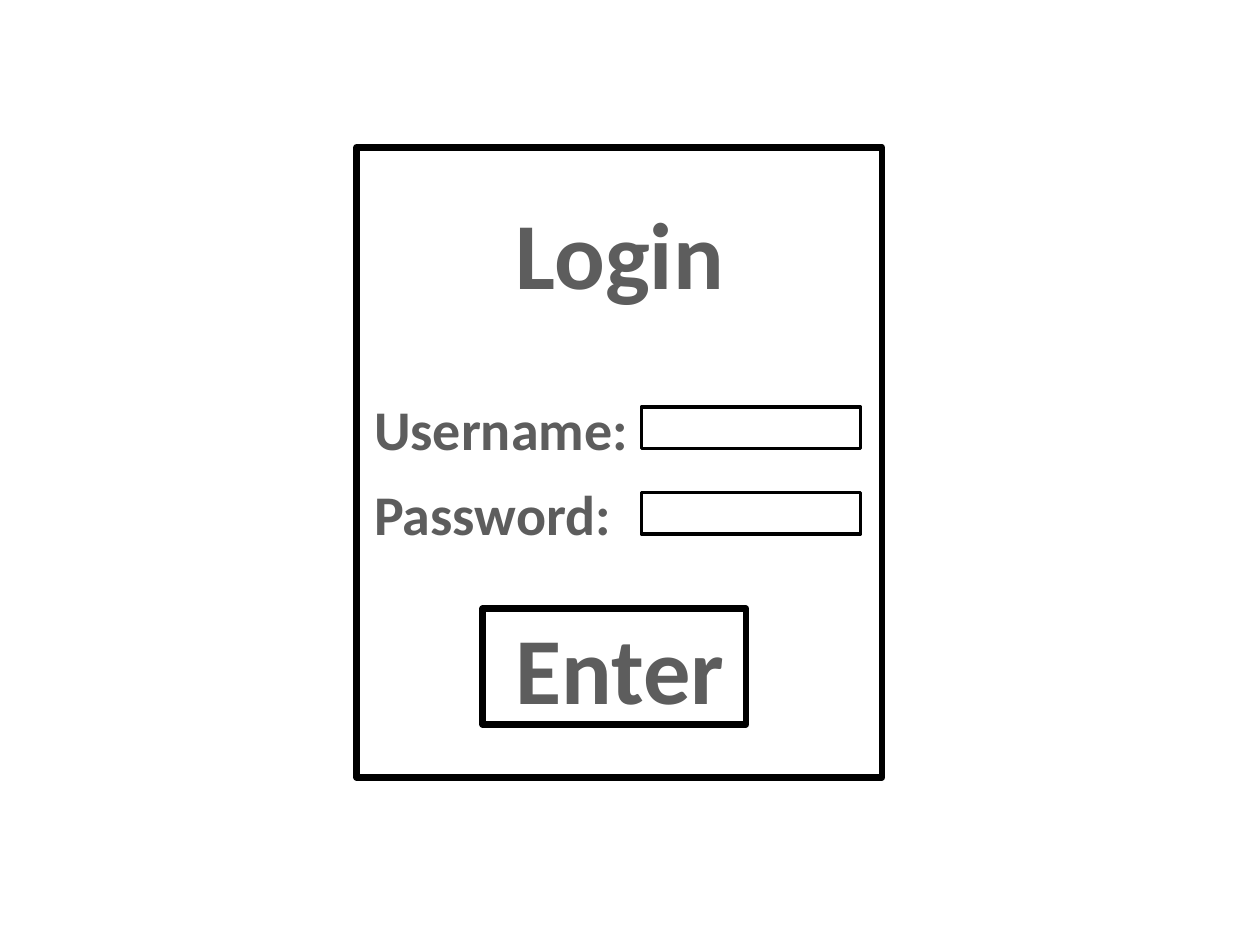
from dataclasses import dataclass

from pptx import Presentation
from pptx.dml.color import RGBColor
from pptx.enum.shapes import MSO_SHAPE
from pptx.enum.text import MSO_ANCHOR, MSO_AUTO_SIZE, PP_ALIGN
from pptx.shapes.autoshape import Shape
from pptx.slide import Slide
from pptx.util import Inches, Pt

RECTANGLE = MSO_SHAPE.RECTANGLE
TOP = MSO_ANCHOR.TOP
NO_AUTOFIT = MSO_AUTO_SIZE.NONE
LEFT, CENTER = PP_ALIGN.LEFT, PP_ALIGN.CENTER
TITLE_ONLY_LAYOUT = 5


@dataclass(frozen=True)
class Theme:
    font: str = "Calibri"
    text: RGBColor = RGBColor(0x5D, 0x5D, 0x5D)
    fill: RGBColor = RGBColor(0xFF, 0xFF, 0xFF)
    line: RGBColor = RGBColor(0, 0, 0)
    heading_size: float = 54
    label_size: float = 32
    heavy_line: float = 3.75
    field_line: float = 2


@dataclass(frozen=True)
class Area:
    left: float
    top: float
    width: float
    height: float

    def lengths(self) -> tuple[int, int, int, int]:
        return (Inches(self.left), Inches(self.top),
                Inches(self.width), Inches(self.height))


@dataclass(frozen=True)
class Field:
    label: str
    label_area: Area
    input_area: Area


THEME = Theme()
PANEL = Area(2.83, 1.17, 4.17, 5)
HEADING = Area(3.98, 1.5, 1.88, 1.01)
BUTTON = Area(3.83, 4.83, 2.09, 0.92)
BUTTON_TEXT = Area(3.98, 4.79, 1.88, 1.01)
FIELD_PITCH = 0.68
FIELDS = [
    Field(label,
          Area(2.87, 3.08 + row * FIELD_PITCH, 2.22, 0.64),
          Area(5.09, 3.23 + row * FIELD_PITCH, 1.74, 0.33))
    for row, label in enumerate(("Username:", "Password:"))
]


def add_box(slide: Slide, area: Area, line_width: float) -> None:
    shape = slide.shapes.add_shape(RECTANGLE, *area.lengths())
    shape.shadow.inherit = False
    shape.fill.solid()
    shape.fill.fore_color.rgb = THEME.fill
    shape.line.color.rgb = THEME.line
    shape.line.width = Pt(line_width)


def write_text(shape: Shape, text: str, size: float, alignment: PP_ALIGN) -> None:
    frame = shape.text_frame
    frame.text = text
    frame.word_wrap = False
    frame.auto_size = NO_AUTOFIT
    frame.vertical_anchor = TOP
    paragraph = frame.paragraphs[0]
    paragraph.alignment = alignment
    font = paragraph.font
    font.name = THEME.font
    font.size = Pt(size)
    font.bold = True
    font.color.rgb = THEME.text


def add_text(slide: Slide, area: Area, text: str, size: float,
             alignment: PP_ALIGN) -> None:
    write_text(slide.shapes.add_textbox(*area.lengths()), text, size, alignment)


presentation = Presentation()
presentation.slide_width = Inches(10)
presentation.slide_height = Inches(7.5)
slide = presentation.slides.add_slide(presentation.slide_layouts[TITLE_ONLY_LAYOUT])

# Login panel, with the title brought in front of it
add_box(slide, PANEL, THEME.heavy_line)
title = slide.shapes.title
title.left, title.top, title.width, title.height = HEADING.lengths()
write_text(title, "Login", THEME.heading_size, CENTER)
slide.shapes.element.append(title.element)

# Labelled input fields
for field in FIELDS:
    add_text(slide, field.label_area, field.label, THEME.label_size, LEFT)
    add_box(slide, field.input_area, THEME.field_line)

# Enter button
add_box(slide, BUTTON, THEME.heavy_line)
add_text(slide, BUTTON_TEXT, "Enter", THEME.heading_size, CENTER)

presentation.save("out.pptx")
